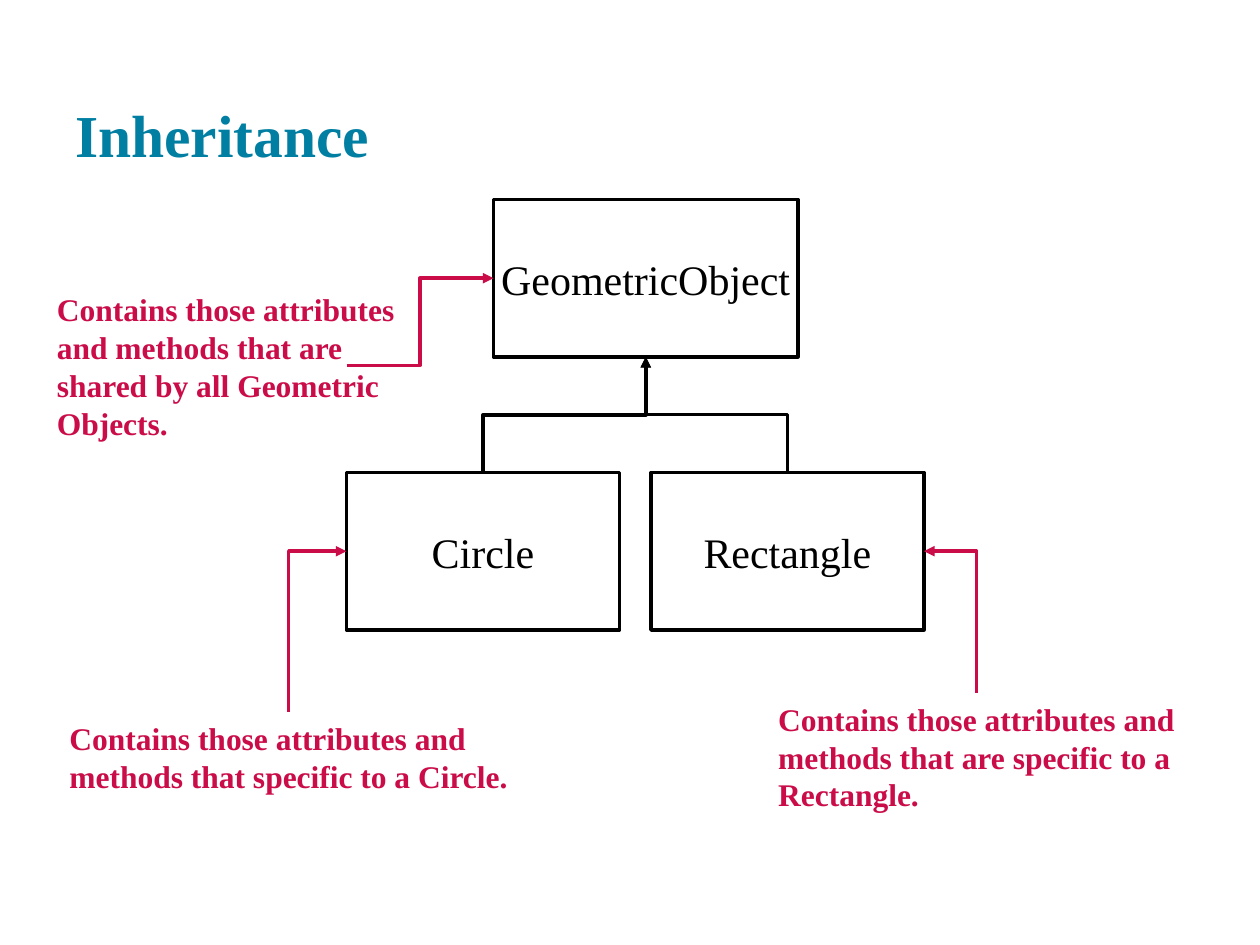
import pptx
import pptx.util
import pptx.dml.color
import pptx.enum.shapes
import pptx.enum.text
import pptx.oxml
import pptx.oxml.ns

PX = 7620
COLORS = {"title": "007FA3", "note": "CA0C48", "ink": "000000", "paper": "FFFFFF"}


class Diagram:
    font = "Times New Roman"
    line_width = 2

    def __init__(self, slide):
        self.s = slide

    def color(self, name):
        return pptx.dml.color.RGBColor.from_string(COLORS[name])

    def add_run(self, tf, text, size, color, bold=False):
        p = tf.paragraphs[0]
        r = p.add_run()
        r.text = text
        r.font.name = self.font
        r.font.size = pptx.util.Pt(size)
        r.font.bold = bold
        r.font.color.rgb = self.color(color)
        return p

    def text(self, rect, text, size, color, anchor):
        sp = self.s.shapes.add_textbox(*(v * PX for v in rect))
        tf = sp.text_frame
        tf.word_wrap = True
        tf.vertical_anchor = anchor
        self.add_run(tf, text, size, color, bold=True)
        return tf

    def title(self, rect, text):
        tf = self.text(rect, text, 34, "title", pptx.enum.text.MSO_ANCHOR.BOTTOM)
        tf.margin_left = tf.margin_right = tf.margin_top = tf.margin_bottom = 12 * PX

    def note(self, rect, text):
        tf = self.text(rect, text, 18, "note", pptx.enum.text.MSO_ANCHOR.MIDDLE)
        tf.auto_size = pptx.enum.text.MSO_AUTO_SIZE.SHAPE_TO_FIT_TEXT
        tf._txBody.bodyPr.set("anchorCtr", "1")

    def box(self, rect, text):
        sp = self.s.shapes.add_shape(
            pptx.enum.shapes.MSO_SHAPE.RECTANGLE, *(v * PX for v in rect))
        sp.shadow.inherit = False
        sp.fill.solid()
        sp.fill.fore_color.rgb = self.color("paper")
        sp.line.color.rgb = self.color("ink")
        sp.line.width = pptx.util.Pt(self.line_width)
        tf = sp.text_frame
        tf.word_wrap = False
        tf.vertical_anchor = pptx.enum.text.MSO_ANCHOR.MIDDLE
        p = self.add_run(tf, text, 24, "ink")
        p.alignment = pptx.enum.text.PP_ALIGN.CENTER

    def elbow(self, start, end, color, upward=True, bends=2):
        (x1, y1), (x2, y2) = start, end
        if upward:
            cx, cy = (x1 + x2) / 2, (y1 + y2) / 2
            half_w, half_h = (y1 - y2) / 2, (x2 - x1) / 2
            x1, y1, x2, y2 = cx - half_w, cy - half_h, cx + half_w, cy + half_h
        cn = self.s.shapes.add_connector(
            pptx.enum.shapes.MSO_CONNECTOR.ELBOW,
            *(int(v * PX) for v in (x1, y1, x2, y2)))
        cn.line.color.rgb = self.color(color)
        cn.line.width = pptx.util.Pt(self.line_width)
        spPr = cn._element.spPr
        if upward:
            spPr.find(pptx.oxml.ns.qn("a:xfrm")).set("rot", str(270 * 60000))
        spPr.find(pptx.oxml.ns.qn("a:prstGeom")).set("prst", f"bentConnector{bends + 1}")
        ns = pptx.oxml.ns.nsdecls("a")
        ln = spPr.find(pptx.oxml.ns.qn("a:ln"))
        ln.append(pptx.oxml.parse_xml(f'<a:tailEnd {ns} type="triangle"/>'))
        spPr.append(pptx.oxml.parse_xml(f"<a:effectLst {ns}/>"))


def main():
    prs = pptx.Presentation()
    prs.slide_width, prs.slide_height = 1200 * PX, 900 * PX
    d = Diagram(prs.slides.add_slide(prs.slide_layouts[6]))

    d.title((60, 29, 1080, 144), "Inheritance")
    d.box((470, 190, 290, 150), "GeometricObject")
    d.box((620, 450, 260, 150), "Rectangle")
    d.box((330, 450, 260, 150), "Circle")
    for child_x in (460, 750):
        d.elbow((child_x, 450), (615, 340), "ink")

    d.note((30, 270, 370, 157),
           "Contains those attributes and methods that are shared by all Geometric Objects.")
    d.elbow((330, 348), (470, 265), "note", upward=False)
    d.note((50, 678, 450, 85),
           "Contains those attributes and methods that specific to a Circle.")
    d.elbow((275, 678), (330, 525), "note", bends=1)
    d.note((720, 660, 420, 121),
           "Contains those attributes and methods that are specific to a Rectangle.")
    d.elbow((930, 660), (880, 525), "note", bends=1)

    prs.save("out.pptx")


if __name__ == "__main__":
    main()
